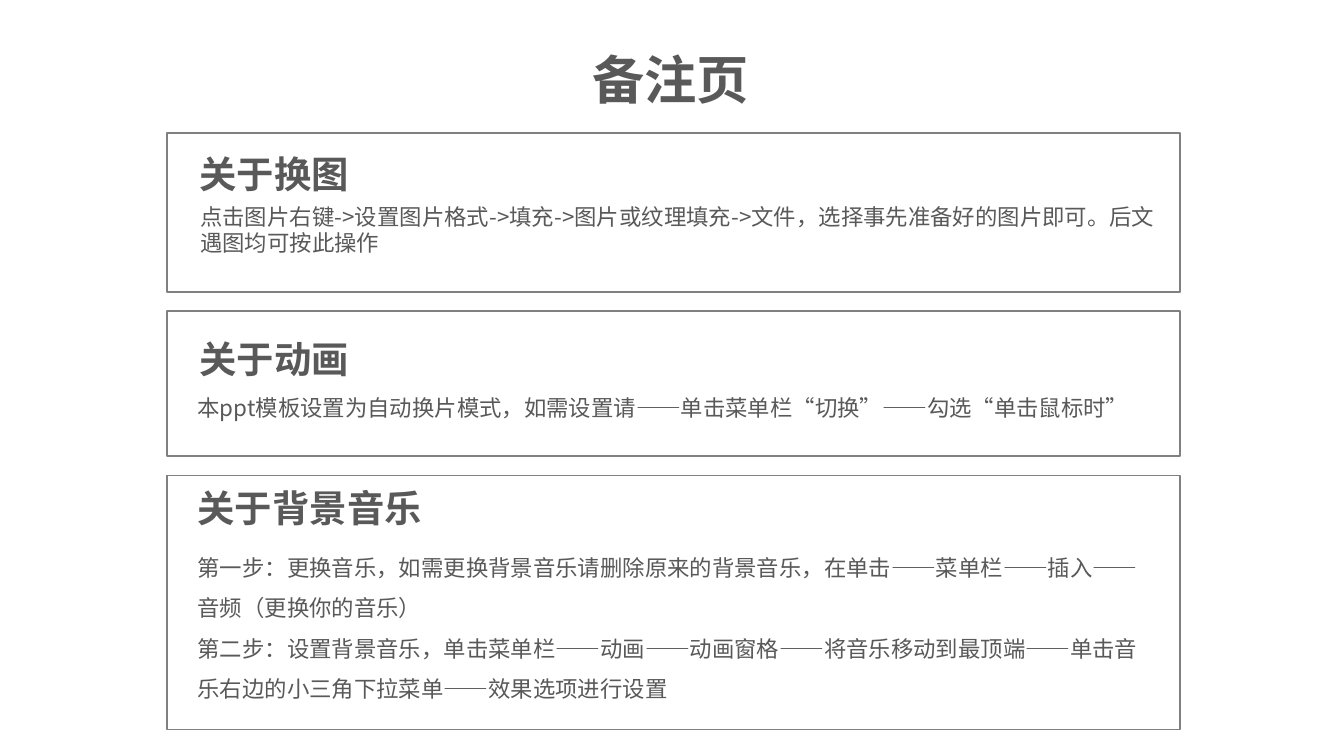
"""Build the notes page with three framed instruction panels."""
from lxml import etree
from pptx import Presentation
from pptx.dml.color import RGBColor
from pptx.enum.shapes import MSO_SHAPE
from pptx.enum.text import MSO_AUTO_SIZE, PP_ALIGN
from pptx.oxml.ns import qn
from pptx.util import Inches, Pt

RECTANGLE = MSO_SHAPE.RECTANGLE
FIT_SHAPE = MSO_AUTO_SIZE.SHAPE_TO_FIT_TEXT
LEFT = PP_ALIGN.LEFT

THEME = {
    "font": "Noto Sans CJK SC",
    "text": RGBColor(0x59, 0x59, 0x59),
    "frame": RGBColor(0x80, 0x80, 0x80),
    "title": {"size": Pt(28), "bold": True},
    "heading": {"size": Pt(20), "bold": True},
    "body": {"size": Pt(12), "bold": False},
}
INSETS = {
    "margin_left": Inches(0.07),
    "margin_right": Inches(0.07),
    "margin_top": Inches(0.04),
    "margin_bottom": Inches(0.04),
}

presentation = Presentation()
presentation.slide_width = Inches(10)
presentation.slide_height = presentation.slide_width * 9 // 16
COLUMN = presentation.slide_width / 100
ROW = presentation.slide_height / 100
slide = presentation.slides.add_slide(presentation.slide_layouts[6])


def place(left, top, width, height):
    return [round(length) for length in (left * COLUMN, top * ROW, width * COLUMN, height * ROW)]


def add_text(shapes, box, lines, style, frame_format, spacing=1.0):
    text_frame = shapes.add_textbox(*place(*box)).text_frame
    for name, value in frame_format.items():
        setattr(text_frame, name, value)
    text_frame.auto_size = FIT_SHAPE
    for index, line in enumerate(lines):
        paragraph = text_frame.add_paragraph() if index else text_frame.paragraphs[0]
        paragraph.alignment = LEFT
        paragraph.line_spacing = spacing
        run = paragraph.add_run()
        run.text = line
        for name, value in {**THEME[style], "name": THEME["font"]}.items():
            setattr(run.font, name, value)
        run.font.color.rgb = THEME["text"]
        properties = run._r.get_or_add_rPr()
        etree.SubElement(properties, qn("a:ea"), typeface=THEME["font"])


add_text(slide.shapes, (43.1, 5.33, 13.8, 10.13), ["备注页"], "title", {"word_wrap": False})

FRAME_LEFT, FRAME_WIDTH, FRAME_GAP = 12.4, 75.4, 2.55
HEADING_WIDTH, HEADING_HEIGHT = 31.1, 7.3
PANELS = [
    {
        "height": 21,
        "heading": "关于换图",
        "heading_at": (1.75, 1.7),
        "body_box": (1.8, 8.5, 72.9, 8.5),
        "spacing": 1.0,
        "body": ["点击图片右键->设置图片格式->填充->图片或纹理填充->文件，选择事先准备好的图片即可。后文遇图均可按此操作"],
    },
    {
        "height": 19.2,
        "heading": "关于动画",
        "heading_at": (1.75, 2.55),
        "body_box": (1.6, 10.25, 72.9, 5),
        "spacing": 1.0,
        "body": ["本ppt模板设置为自动换片模式，如需设置请——单击菜单栏“切换”——勾选“单击鼠标时”"],
    },
    {
        "height": 33.6,
        "heading": "关于背景音乐",
        "heading_at": (1.6, 0.55),
        "body_box": (1.6, 7.9, 72, 22.95),
        "spacing": 1.5,
        "body": [
            "第一步：更换音乐，如需更换背景音乐请删除原来的背景音乐，在单击——菜单栏——插入——音频（更换你的音乐）",
            "第二步：设置背景音乐，单击菜单栏——动画——动画窗格——将音乐移动到最顶端——单击音乐右边的小三角下拉菜单——效果选项进行设置",
        ],
    },
]

panel_format = {**INSETS, "word_wrap": True}
top = 17.6
for panel in PANELS:
    shapes = slide.shapes.add_group_shape().shapes
    frame = shapes.add_shape(RECTANGLE, *place(FRAME_LEFT, top, FRAME_WIDTH, panel["height"]))
    frame.shadow.inherit = False
    frame.fill.background()
    frame.line.color.rgb = THEME["frame"]
    frame.line.width = Pt(1)

    indent, drop = panel["heading_at"]
    heading_box = (FRAME_LEFT + indent, top + drop, HEADING_WIDTH, HEADING_HEIGHT)
    add_text(shapes, heading_box, [panel["heading"]], "heading", panel_format)

    indent, drop, width, height = panel["body_box"]
    body_box = (FRAME_LEFT + indent, top + drop, width, height)
    add_text(shapes, body_box, panel["body"], "body", panel_format, panel["spacing"])
    top += panel["height"] + FRAME_GAP

presentation.save("out.pptx")
